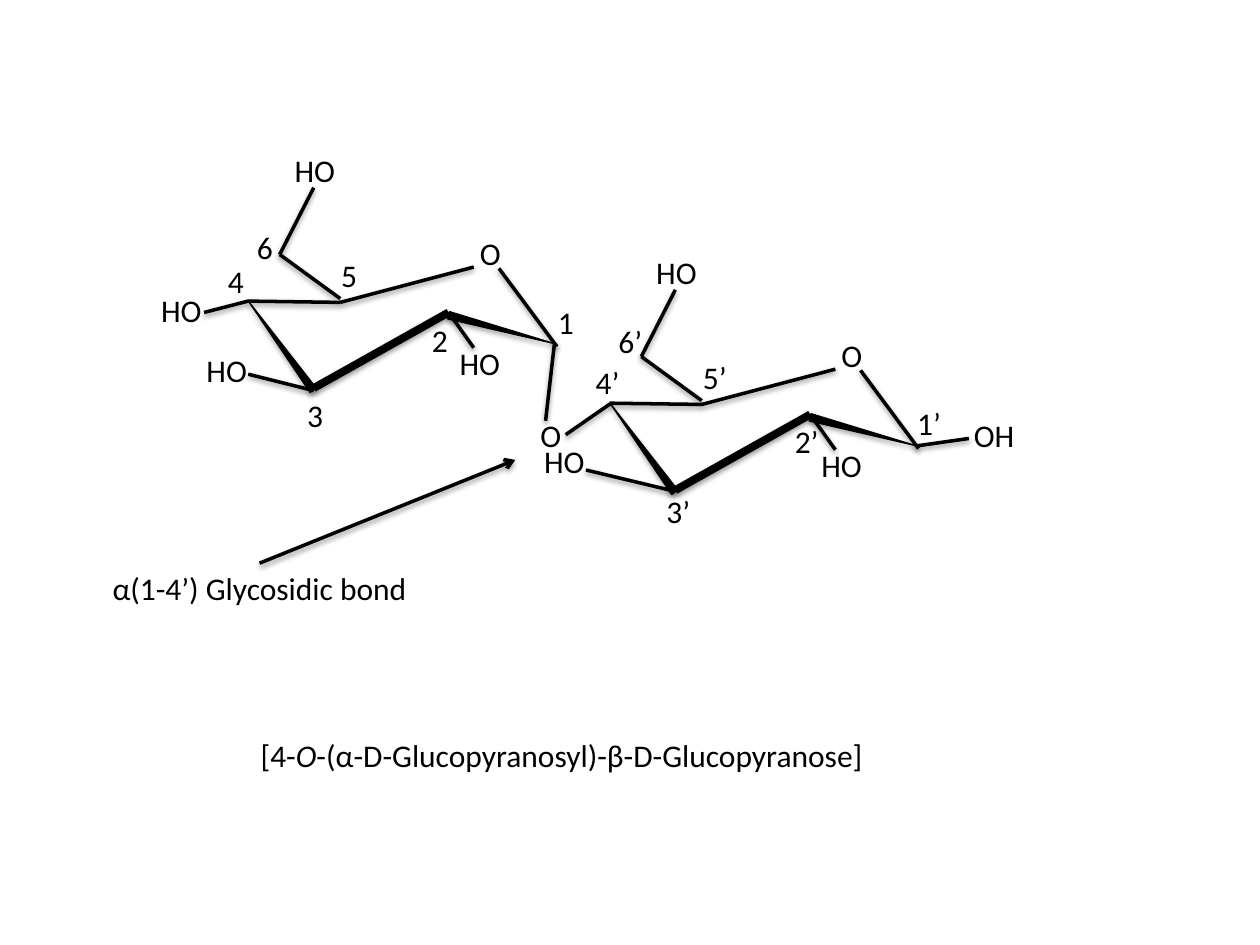
from dataclasses import dataclass
from lxml.etree import SubElement
from pptx import Presentation
from pptx.dml.color import RGBColor
from pptx.enum.shapes import MSO_CONNECTOR, MSO_SHAPE
from pptx.enum.text import MSO_AUTO_SIZE, PP_ALIGN
from pptx.oxml.ns import qn
from pptx.util import Inches, Pt

COLORS = {"ink": "000000"}
INK = RGBColor.from_string(COLORS["ink"])
FONT = {"name": "Calibri", "size": Pt(18)}
FRAME = {"word_wrap": True, "auto_size": MSO_AUTO_SIZE.SHAPE_TO_FIT_TEXT}
HIGH = 0.4


@dataclass
class Bond:
    x1: float
    y1: float
    x2: float
    y2: float
    width: float = 2


@dataclass
class Wedge:
    x: float
    y: float
    turn: int


@dataclass
class Label:
    text: str
    x: float
    y: float
    width: float = 0.46


# Ring parts, placed for the left ring and shifted for the right one
SHIFTS = [(0, 0), (2.87, 0.81)]
RING_BONDS = [
    Bond(2.7, 2.4, 3.76, 2.12),
    Bond(3.96, 2.13, 4.42, 2.75),
    Bond(3.56, 2.48, 2.49, 3.08, 4.5),
    Bond(1.97, 2.39, 2.7, 2.4),
    Bond(3.56, 2.48, 3.76, 2.76),
    Bond(2.7, 2.37, 2.22, 2.02),
    Bond(2.22, 2.02, 2.49, 1.49),
]
WEDGES = [Wedge(3.95, 2.18, 105), Wedge(2.2, 2.31, 324)]
RING_LABELS = [
    Label("O", 3.71, 1.81, 0.6),
    Label("HO", 3.55, 2.68, 0.66),
    Label("HO", 2.24, 1.15, 0.66),
]

# Bonds and groups that differ between the rings
BONDS = [
    Bond(2.49, 3.1, 1.97, 2.97),
    Bond(1.97, 2.39, 1.62, 2.48),
    Bond(5.36, 3.9, 4.65, 3.73),
    Bond(4.85, 3.2, 4.49, 3.45),
    Bond(4.4, 2.73, 4.33, 3.34),
    Bond(7.27, 3.54, 7.69, 3.48),
]
GROUPS = [
    Label("HO", 1.54, 2.74, 0.66),
    Label("HO", 1.18, 2.26, 0.66),
    Label("HO", 4.22, 3.46, 0.66),
    Label("O", 4.19, 3.25, 0.6),
    Label("OH", 7.63, 3.25, 0.69),
]
NUMBERS = [
    Label("1", 4.33, 2.36, 0.35),
    Label("2", 3.33, 2.5),
    Label("3", 2.34, 3.09),
    Label("4", 1.71, 2.03),
    Label("5", 2.61, 1.98),
    Label("6", 1.94, 1.76),
    Label("1’", 7.18, 3.16, 0.51),
    Label("2’", 6.21, 3.3),
    Label("3’", 5.19, 3.86),
    Label("4’", 4.63, 2.83),
    Label("5’", 5.48, 2.79),
    Label("6’", 4.81, 2.51),
]


def set_all(item, values: dict) -> None:
    for key, value in values.items():
        setattr(item, key, value)


def add_shade(shape, gap: float, alpha: int) -> None:
    """Give a shape a soft shadow straight below it."""
    effects = SubElement(shape._element.spPr, qn("a:effectLst"))
    shade = SubElement(effects, qn("a:outerShdw"), blurRad=str(Pt(3.1)),
                       dist=str(Pt(gap)), dir="5400000", rotWithShape="0")
    color = SubElement(shade, qn("a:srgbClr"), val=COLORS["ink"])
    SubElement(color, qn("a:alpha"), val=str(alpha * 1000))


def draw_bond(slide, bond: Bond, dx: float = 0, dy: float = 0):
    line = slide.shapes.add_connector(
        MSO_CONNECTOR.STRAIGHT, Inches(bond.x1 + dx), Inches(bond.y1 + dy),
        Inches(bond.x2 + dx), Inches(bond.y2 + dy))
    line.line.color.rgb = INK
    line.line.width = Pt(bond.width)
    add_shade(line, 1.6, 38)
    return line


def draw_wedge(slide, wedge: Wedge, dx: float, dy: float) -> None:
    shape = slide.shapes.add_shape(
        MSO_SHAPE.ISOSCELES_TRIANGLE, Inches(wedge.x + dx),
        Inches(wedge.y + dy), Inches(0.06), Inches(0.87))
    shape.rotation = wedge.turn
    shape.fill.solid()
    shape.fill.fore_color.rgb = INK
    shape.line.color.rgb = INK
    shape.line.width = Pt(0.75)
    add_shade(shape, 1.8, 35)


def add_run(box, text: str, **extra):
    run = box.text_frame.paragraphs[0].add_run()
    run.text = text
    set_all(run.font, FONT | extra)
    run.font.color.rgb = INK


def draw_label(slide, label: Label, dx: float = 0, dy: float = 0):
    box = slide.shapes.add_textbox(
        Inches(label.x + dx), Inches(label.y + dy),
        Inches(label.width), Inches(HIGH))
    set_all(box.text_frame, FRAME)
    add_run(box, label.text)
    return box


def main() -> None:
    deck = Presentation()
    deck.slide_width, deck.slide_height = Inches(10), Inches(7.5)
    slide = deck.slides.add_slide(deck.slide_layouts[6])

    # Two sugar rings
    for dx, dy in SHIFTS:
        for bond in RING_BONDS:
            draw_bond(slide, bond, dx, dy)
        for wedge in WEDGES:
            draw_wedge(slide, wedge, dx, dy)
        for label in RING_LABELS:
            draw_label(slide, label, dx, dy)

    # Side groups, link and carbon numbers
    for bond in BONDS:
        draw_bond(slide, bond)
    for label in GROUPS + NUMBERS:
        draw_label(slide, label)

    # Caption with an arrow to the link
    note = draw_label(slide, Label("α(1-4’) Glycosidic bond", 0.72, 4.47, 2.68))
    note.text_frame.paragraphs[0].alignment = PP_ALIGN.CENTER
    arrow = draw_bond(slide, Bond(2.06, 4.47, 4.09, 3.65))
    arrow.begin_connect(note, 0)
    SubElement(arrow.line._get_or_add_ln(), qn("a:tailEnd"), type="arrow")

    # Full name of the sugar
    name = draw_label(slide, Label("[4-", 1.97, 5.79, 5.48))
    add_run(name, "O", italic=True)
    add_run(name, "-(α-D-Glucopyranosyl)-β-D-Glucopyranose]")

    deck.save("out.pptx")


if __name__ == "__main__":
    main()
